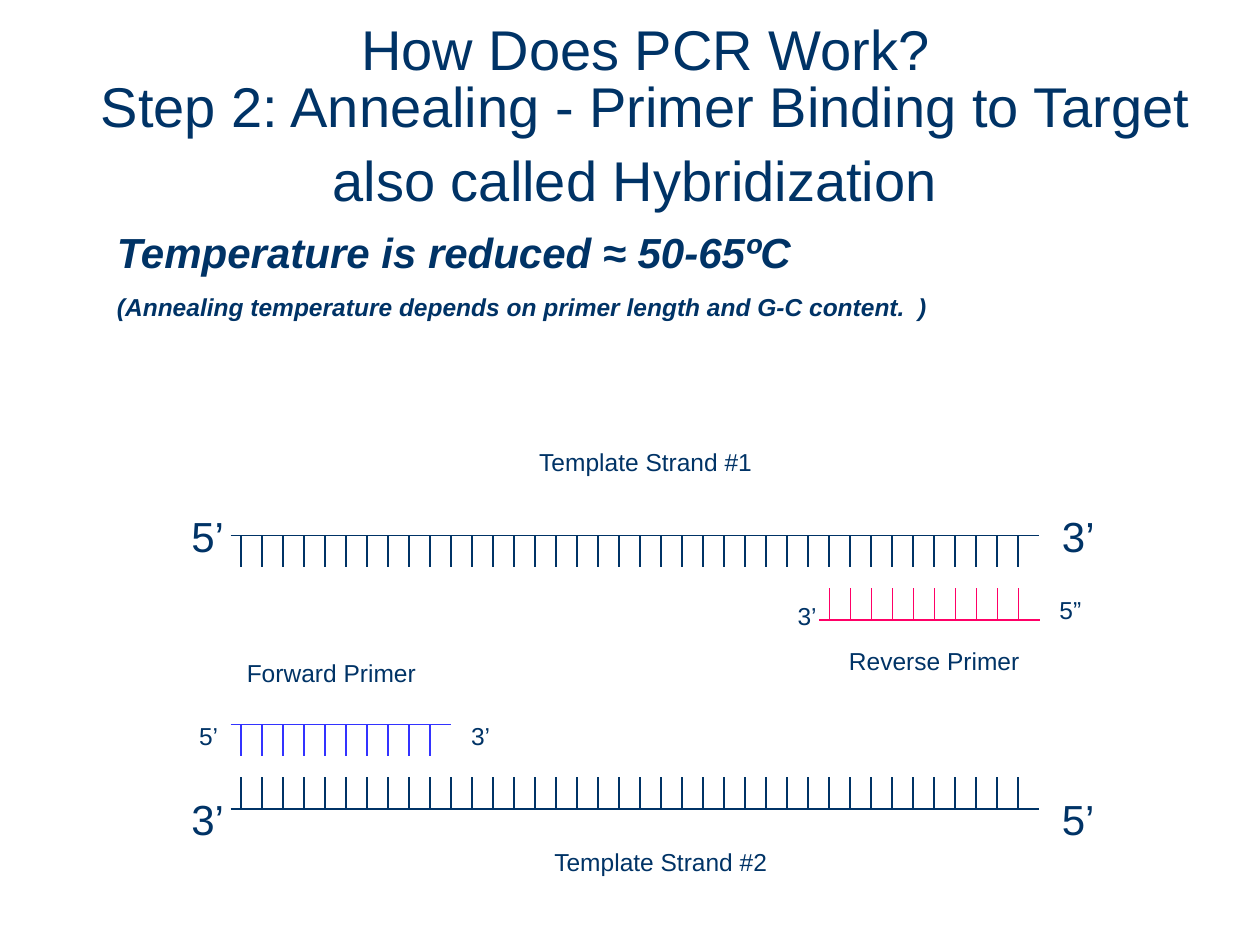
"""Builds a slide on primer annealing, the second step of PCR."""
from pptx import Presentation
from pptx.dml.color import RGBColor
from pptx.enum import shapes, text
from pptx.oxml.ns import qn
from pptx.util import Inches, Pt

NAVY, PINK, BLUE = "003366", "FF0066", "3333FF"
LEFT, MID, RIGHT = text.PP_ALIGN.LEFT, text.PP_ALIGN.CENTER, text.PP_ALIGN.RIGHT

deck = Presentation()
deck.slide_width, deck.slide_height = Inches(10), Inches(7.5)
slide = deck.slides.add_slide(deck.slide_layouts[6])


def line(x1, y1, x2, y2, color, width):
    """Draw one straight line."""
    ends = [Inches(v) for v in (x1, y1, x2, y2)]
    item = slide.shapes.add_connector(shapes.MSO_CONNECTOR.STRAIGHT, *ends)
    item.line.color.rgb = RGBColor.from_string(color)
    item.line.width = Pt(width)
    props = item._element.spPr
    props.append(props.makeelement(qn("a:effectLst"), {}))


def label(x, y, w, h, rows, align=LEFT, bold=False):
    """Add a text box with one paragraph for each (words, size) row."""
    box = slide.shapes.add_textbox(Inches(x), Inches(y), Inches(w), Inches(h))
    frame = box.text_frame
    frame.word_wrap = w >= 0.5
    for i, (words, size) in enumerate(rows):
        para = frame.add_paragraph() if i else frame.paragraphs[0]
        para.text = words
        para.alignment = align
        if i:
            para.space_before = Pt(8.8)
        for run in para.runs:
            font = run.font
            font.name, font.size = "Arial", Pt(size)
            font.bold = font.italic = bold
            font.color.rgb = RGBColor.from_string(NAVY)
    return frame


title = label(0.25, 0, 9.75, 1.92, [(
    "How Does PCR Work?\v"
    "Step 2: Annealing - Primer Binding to Target\v"
    "also called Hybridization", 32)], MID)
title.vertical_anchor = text.MSO_ANCHOR.MIDDLE
head = title.paragraphs[0]
head.line_spacing = 0.85
tail = head.add_run()
tail.text = " "
tail.font.name, tail.font.size = "Arial", Pt(44)

label(0.83, 1.75, 8.33, 0.86, [
    ("Temperature is reduced ≈ 50-65ºC", 24),
    ("(Annealing temperature depends on primer length and G-C content.  )", 14),
], bold=True)

step, rung = 1 / 6, 0.25
strands = [
    (1.83, 4.25, 38, rung, NAVY, 0.75),
    (1.83, 6.42, 38, -rung, NAVY, 0.75),
    (6.5, 4.92, 10, -rung, PINK, 0.75),
    (1.83, 5.75, 10, rung, BLUE, 1),
]
for left, y, count, rise, color, width in strands:
    line(left, y, left + (count + 0.5) * step, y, color, 0.75)
    for i in range(count):
        x = left + (i + 0.5) * step
        line(x, y, x, y + rise, color, 1 if color == PINK and i == 0 else width)

labels = [
    (1.42, 4, 0.5, 0.5, "5’", 24, LEFT),
    (8.33, 4, 0.75, 0.5, "3’", 24, LEFT),
    (1.42, 6.25, 0.75, 0.5, "3’", 24, LEFT),
    (8.33, 6.25, 0.5, 0.5, "5’", 24, LEFT),
    (6.01, 4.72, 0.57, 0.34, "3’", 14, RIGHT),
    (8.31, 4.67, 0.37, 0.34, "5”", 14, LEFT),
    (1.33, 5.67, 0.5, 0.34, "5’", 14, RIGHT),
    (3.64, 5.67, 0.35, 0.34, "3’", 14, LEFT),
    (1.75, 3.5, 6.75, 0.34, "Template Strand #1", 14, MID),
    (6.33, 5.08, 2.17, 0.34, "Reverse Primer", 14, MID),
    (2.08, 6.67, 6.33, 0.34, "Template Strand #2", 14, MID),
    (1.42, 5.17, 2.42, 0.34, "Forward Primer", 14, MID),
]
for x, y, w, h, words, size, align in labels:
    label(x, y, w, h, [(words, size)], align)

deck.save("out.pptx")
